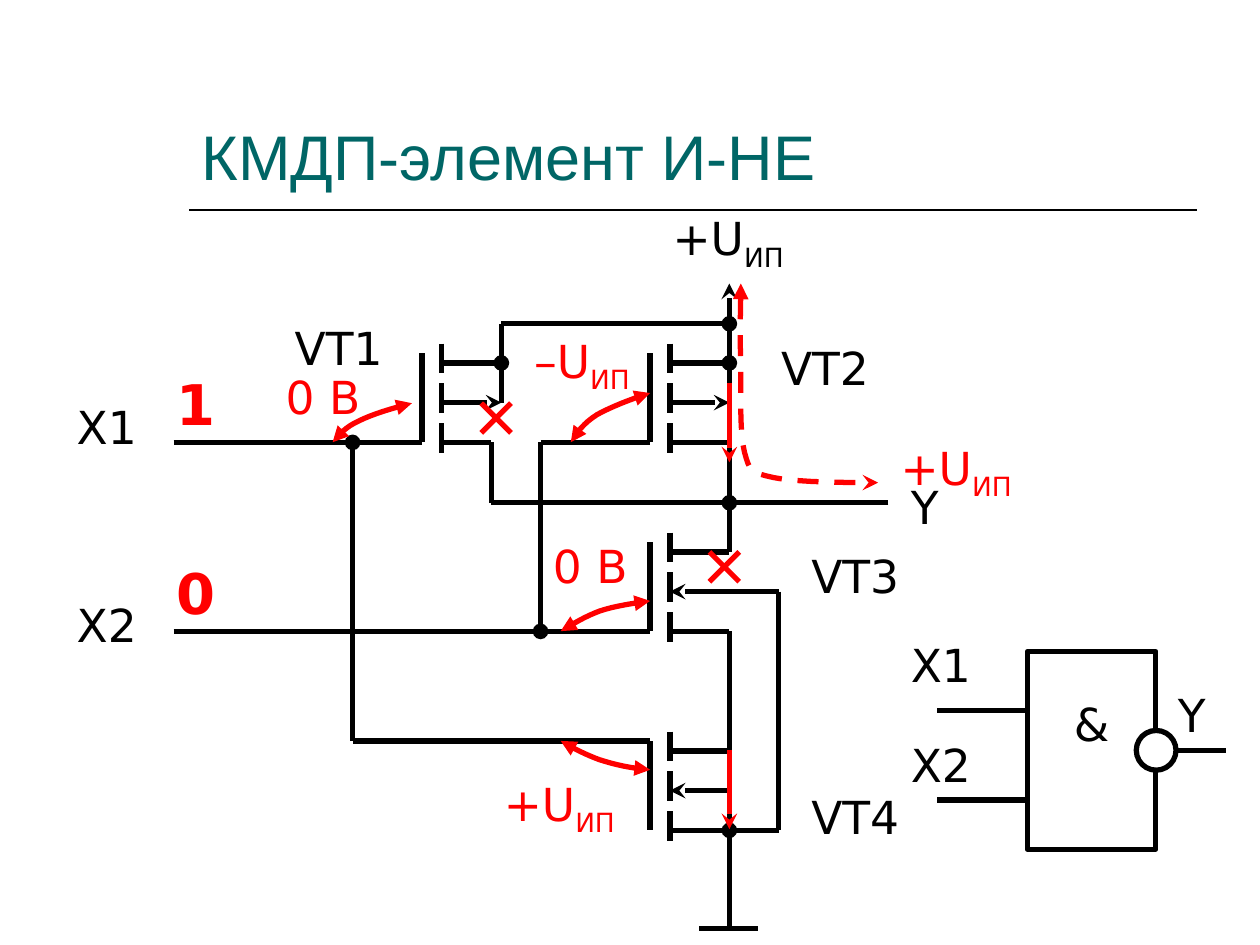
from lxml.etree import SubElement
from pptx import Presentation
from pptx.dml.color import RGBColor
from pptx.enum.dml import MSO_LINE
from pptx.enum.shapes import MSO_CONNECTOR as Link, MSO_SHAPE as Preset
from pptx.enum.text import MSO_ANCHOR as Anchor, MSO_AUTO_SIZE as AutoSize, PP_ALIGN as Align
from pptx.oxml.ns import qn
from pptx.util import Pt

BLACK = RGBColor(0x00, 0x00, 0x00)
WHITE = RGBColor(0xFF, 0xFF, 0xFF)
RED = RGBColor(0xFF, 0x00, 0x00)
TEAL = RGBColor(0x00, 0x66, 0x66)

STEP = 22.7
CHANNEL = 11.3
DRAIN = 45.3

TRANSISTORS = [
    (241.2, 207.4, "p", 39.6),
    (371.5, 207.4, "p", DRAIN),
    (371.5, 315.4, "n", DRAIN),
    (371.5, 429.1, "n", DRAIN),
]

WIRES = [
    (99.2, 252.8, 241.2, 252.8, None),
    (99.2, 360.8, 371.5, 360.8, None),
    (201.5, 423.5, 201.5, 252.8, "oval"),
    (201.5, 423.5, 371.5, 423.5, None),
    (308.9, 252.8, 308.9, 360.8, "oval"),
    (308.9, 252.8, 371.5, 252.8, None),
    (280.8, 252.8, 280.8, 287.3, None),
    (280.8, 287.3, 416.8, 287.3, None),
    (507.6, 287.3, 416.8, 287.3, "oval"),
    (286.5, 185, 286.5, 207.4, None),
    (286.5, 230.1, 286.5, 207.4, "oval"),
    (286.5, 185, 416.8, 185, "oval"),
    (416.8, 207.4, 416.8, 162, "stealth"),
    (416.8, 230.1, 416.8, 207.4, "oval"),
    (416.8, 230.1, 416.8, 315.4, None),
    (416.8, 360.8, 416.8, 474.5, None),
    (416.8, 530.6, 416.8, 474.5, "oval"),
    (399.6, 530.6, 433.4, 530.6, None),
    (416.8, 338.1, 445, 338.1, None),
    (445, 338.1, 445, 474.5, None),
    (416.8, 474.5, 445, 474.5, None),
    (535.7, 406.1, 587, 406.1, None),
    (535.7, 457.2, 587, 457.2, None),
]

CURRENTS = [
    (416.8, 218.9, 416.8, 264.2, "stealth"),
    (416.8, 428.4, 416.8, 473.8, "stealth"),
]

CROSSES = [(275, 230.4), (405.4, 315.4)]

VOLTAGE_ARCS = [
    [(371.5, 343.4), (361.4, 344.9), (351.4, 346.3), (342.7, 349.2),
     (334.8, 352.1), (327.6, 356.4), (320.4, 360.7)],
    [(371.5, 439.9), (361.4, 439.2), (351.4, 437), (342.7, 434.2),
     (334.8, 431.3), (327.6, 427.7), (320.4, 423.4)],
    [(190.1, 252.7), (193.7, 248.4), (197.3, 244.1), (205.2, 240.5),
     (212.4, 236.9), (223.9, 233.3), (235.4, 230.4)],
    [(326.2, 252.7), (329.8, 247), (333.4, 241.9), (341.3, 236.9),
     (349.2, 232.6), (360, 228.2), (371.5, 224.6)],
]

OUTPUT_CURVE = [
    (423.4, 162), (423.4, 169.9), (422.6, 193), (423.4, 208.8),
    (423.4, 225.4), (422.6, 247.7), (425.5, 258.5),
    (428.4, 269.3), (429.1, 270), (442.1, 272.9),
    (454.3, 275.8), (491.8, 275.8), (501.8, 275.8),
]

LABELS = [
    (36.7, 224.6, 67.7, "X1", BLACK),
    (36.7, 337.7, 67.7, "X2", BLACK),
    (513.4, 270, 67.7, "Y", BLACK),
    (161.3, 179.3, 73.4, "VT1", BLACK),
    (439.2, 190.8, 73.4, "VT2", BLACK),
    (456.5, 309.6, 73.4, "VT3", BLACK),
    (456.5, 447.1, 73.4, "VT4", BLACK),
    (513.4, 360.7, 67.7, "X1", BLACK),
    (513.4, 417.6, 67.7, "X2", BLACK),
    (666, 388.8, 45.4, "Y", BLACK),
    (156.2, 207.4, 90.7, "0 В", RED),
    (308.9, 303.8, 90.7, "0 В", RED),
]

SUPPLY_LABELS = [
    (377.3, 116.6, "+U", BLACK),
    (298.1, 186.5, "–U", RED),
    (280.8, 439.9, "+U", RED),
    (507.6, 247.7, "+U", RED),
]

INPUT_LEVELS = [(93.6, 207.4, "1"), (93.6, 315.4, "0")]


def add_ends(shape, head, tail):
    outline = shape._element.spPr.get_or_add_ln()
    for tag, kind in (("a:headEnd", head), ("a:tailEnd", tail)):
        if kind:
            SubElement(outline, qn(tag), type=kind)


def add_wire(page, x1, y1, x2, y2, tail=None, color=BLACK, width=3):
    wire = page.shapes.add_connector(Link.STRAIGHT, Pt(x1), Pt(y1), Pt(x2), Pt(y2))
    wire.line.color.rgb = color
    wire.line.width = Pt(width)
    add_ends(wire, None, tail)
    SubElement(wire._element.spPr, qn("a:effectLst"))
    return wire


def add_transistor(page, x, y, kind, source_reach):
    channel, drain = x + CHANNEL, x + DRAIN
    add_wire(page, x, y - 5.5, x, y + 2 * STEP)
    for row in range(3):
        top = y - 11 + row * STEP
        add_wire(page, channel, top, channel, top + 17)
    add_wire(page, channel, y, drain, y)
    start, end = (channel, drain) if kind == "p" else (drain, channel)
    add_wire(page, start, y + STEP, end, y + STEP, "stealth")
    add_wire(page, channel, y + 2 * STEP, x + source_reach, y + 2 * STEP)


def bezier_points(controls, steps=8):
    for first in range(0, len(controls) - 1, 3):
        a, b, c, d = controls[first:first + 4]
        for step in range(1, steps + 1):
            t = step / steps
            u = 1 - t
            yield tuple(
                Pt(u**3 * p + 3 * u * u * t * q + 3 * u * t * t * r + t**3 * s)
                for p, q, r, s in zip(a, b, c, d)
            )


def add_curve(page, controls, tail, dash=None):
    x, y = controls[0]
    builder = page.shapes.build_freeform(Pt(x), Pt(y))
    builder.add_line_segments(list(bezier_points(controls)), close=False)
    curve = builder.convert_to_shape()
    curve.shadow.inherit = False
    curve.fill.background()
    curve.line.color.rgb = RED
    curve.line.width = Pt(3)
    if dash:
        curve.line.dash_style = dash
    add_ends(curve, "triangle", tail)


def add_run(para, text, color, size=26, bold=False, name="DejaVu Sans"):
    span = para.add_run()
    span.text = text
    span.font.name = name
    span.font.size = Pt(size)
    span.font.bold = bold
    span.font.color.rgb = color
    return span


def add_label(page, x, y, width, text, color, height=39, size=26, bold=False):
    box = page.shapes.add_textbox(Pt(x), Pt(y), Pt(width), Pt(height))
    box.text_frame.word_wrap = True
    box.text_frame.auto_size = AutoSize.SHAPE_TO_FIT_TEXT
    para = box.text_frame.paragraphs[0]
    add_run(para, text, color, size, bold)
    return para


def add_supply_label(page, x, y, text, color):
    para = add_label(page, x, y, 90.7, text, color, height=43)
    span = add_run(para, "ИП", color)
    span._r.get_or_add_rPr().set("baseline", "-25000")


def add_outlined(page, preset, x, y, width, height):
    shape = page.shapes.add_shape(preset, Pt(x), Pt(y), Pt(width), Pt(height))
    shape.shadow.inherit = False
    shape.fill.solid()
    shape.fill.fore_color.rgb = WHITE
    shape.line.color.rgb = BLACK
    shape.line.width = Pt(3)
    return shape


def add_gate_symbol(page):
    gate = add_outlined(page, Preset.RECTANGLE, 587, 372.3, 73.5, 113)
    frame = gate.text_frame
    frame.word_wrap = False
    frame.vertical_anchor = Anchor.MIDDLE
    frame.margin_bottom = Pt(34)
    para = frame.paragraphs[0]
    para.alignment = Align.CENTER
    add_run(para, "&", BLACK)
    output = add_wire(page, 660.5, 428.8, 700.6, 428.8)
    output.begin_connect(gate, 3)
    add_outlined(page, Preset.OVAL, 649.3, 417.4, 22.7, 22.7)


def add_title(page):
    title = page.shapes.title
    title.left, title.top, title.width, title.height = Pt(108), Pt(24), Pt(576), Pt(90)
    title.text_frame.vertical_anchor = Anchor.BOTTOM
    para = title.text_frame.paragraphs[0]
    para.alignment = Align.LEFT
    add_run(para, "КМДП-элемент И-НЕ", TEAL, 36, name="Arial")
    add_wire(page, 108, 120, 684, 120, width=1)


def main():
    deck = Presentation()
    deck.slide_width, deck.slide_height = Pt(720), Pt(540)
    page = deck.slides.add_slide(deck.slide_layouts[5])
    add_title(page)
    for transistor in TRANSISTORS:
        add_transistor(page, *transistor)
    for wire in WIRES:
        add_wire(page, *wire)
    add_gate_symbol(page)
    for current in CURRENTS:
        add_wire(page, *current, color=RED)
    for x, y in CROSSES:
        add_wire(page, x, y, x + 17, y + 17, color=RED)
        add_wire(page, x, y + 17, x + 17, y, color=RED)
    for arc in VOLTAGE_ARCS:
        add_curve(page, arc, "triangle")
    add_curve(page, OUTPUT_CURVE, "stealth", MSO_LINE.DASH)
    for label in LABELS:
        add_label(page, *label)
    for label in SUPPLY_LABELS:
        add_supply_label(page, *label)
    for x, y, level in INPUT_LEVELS:
        add_label(page, x, y, 39.6, level, RED, height=46, size=32, bold=True)
    deck.save("out.pptx")


if __name__ == "__main__":
    main()
